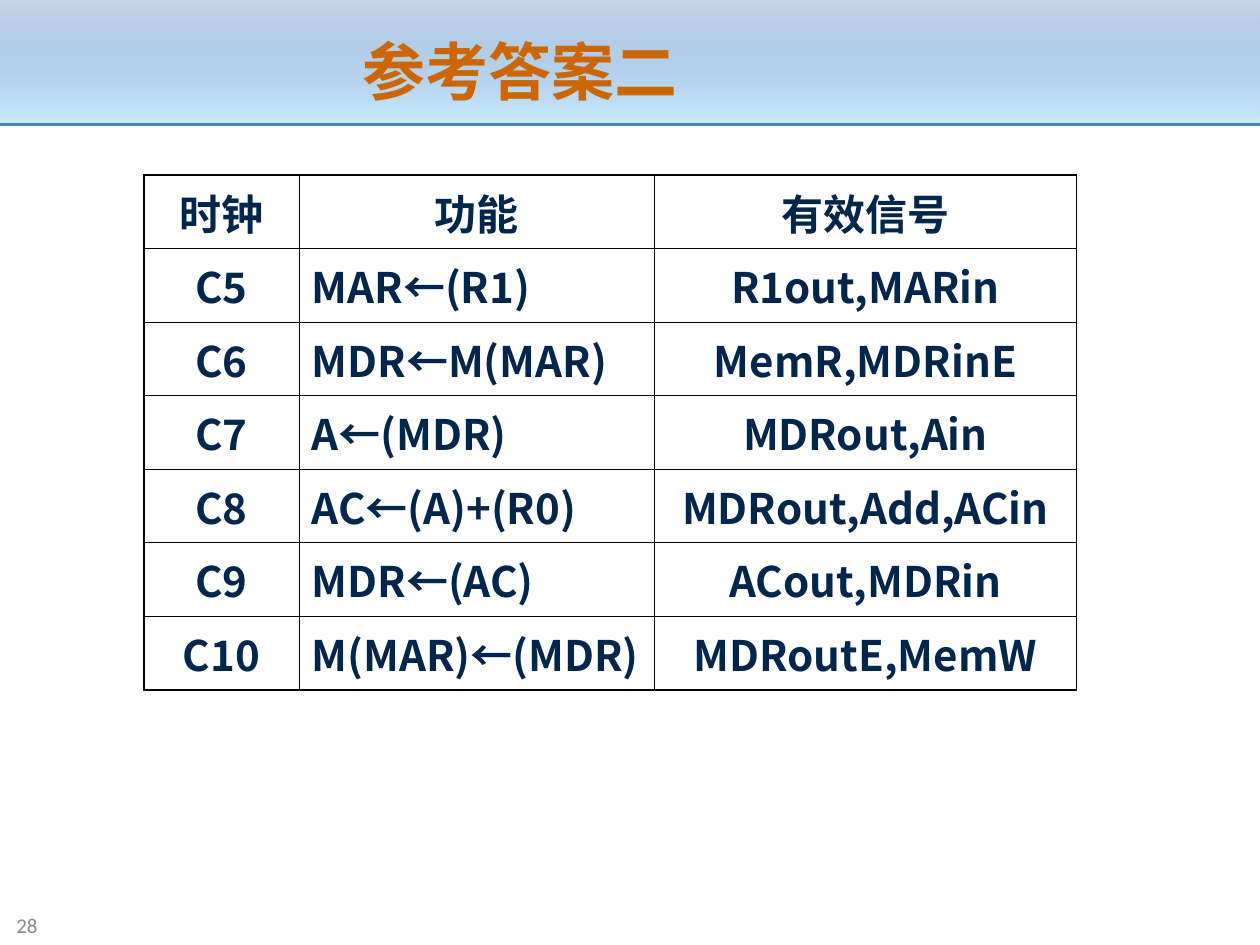
from lxml import etree
from pptx import Presentation
from pptx.dml.color import RGBColor
from pptx.enum import shapes, text
from pptx.oxml import ns
from pptx.util import Pt

TITLE = "参考答案二"
PAGE_NUMBER = "28"
ROWS = [
    ("时钟", "功能", "有效信号"),
    ("C5", "MAR←(R1)", "R1out,MARin"),
    ("C6", "MDR←M(MAR)", "MemR,MDRinE"),
    ("C7", "A←(MDR)", "MDRout,Ain"),
    ("C8", "AC←(A)+(R0)", "MDRout,Add,ACin"),
    ("C9", "MDR←(AC)", "ACout,MDRin"),
    ("C10", "M(MAR)←(MDR)", "MDRoutE,MemW"),
]

PAGE_WIDTH, PAGE_HEIGHT = 720, 540
BAND_HEIGHT = 71.3
TABLE_LEFT, TABLE_TOP = 82.3, 100
COLUMN_WIDTHS = [88.6, 203, 241.2]
ROW_HEIGHT = 37
OUTER_LINE, INNER_LINE = 1.08, 0.45

BLUE = RGBColor(0x4F, 0x81, 0xBD)
SKY = RGBColor(0xCC, 0xEC, 0xFF)
ORANGE = RGBColor(0xCC, 0x66, 0x00)
NAVY = RGBColor(0x00, 0x26, 0x4C)
GRAY = RGBColor(0x89, 0x89, 0x89)
BLACK = RGBColor(0, 0, 0)
CJK_FONT = "Noto Sans CJK SC"
LEFT, CENTER = text.PP_ALIGN.LEFT, text.PP_ALIGN.CENTER


def add_child(parent, tag, **attributes):
    return etree.SubElement(parent, ns.qn(tag), **attributes)


def write(frame, words, size, color, font=CJK_FONT, bold=True, align=LEFT):
    para = frame.paragraphs[0]
    para.alignment = align
    span = para.add_run()
    span.text = words
    span.font.size = Pt(size)
    span.font.bold = bold
    span.font.color.rgb = color
    span.font.name = font
    add_child(span.font._element, "a:ea", typeface=font)


def add_band(page):
    band = page.shapes.add_shape(
        shapes.MSO_SHAPE.RECTANGLE, 0, 0, Pt(PAGE_WIDTH), Pt(BAND_HEIGHT))
    band.shadow.inherit = False
    band.line.fill.background()
    band.fill.gradient()
    band.fill.gradient_angle = 270
    for stop, color in zip(band.fill.gradient_stops, (BLUE, SKY)):
        stop.color.rgb = color
    top_color = next(band.element.iter(ns.qn("a:srgbClr")))
    add_child(top_color, "a:alpha", val="32000")

    rule = page.shapes.add_connector(
        shapes.MSO_CONNECTOR.STRAIGHT, 0, Pt(BAND_HEIGHT), Pt(PAGE_WIDTH), Pt(BAND_HEIGHT))
    rule.line.color.rgb = BLUE
    rule.line.width = Pt(1.5)
    add_child(rule.element.spPr, "a:effectLst")


def add_title(page):
    title = page.shapes.title
    title.left, title.top, title.width, title.height = Pt(36.7), Pt(15), Pt(521.3), Pt(50.4)
    title.text_frame.vertical_anchor = text.MSO_ANCHOR.MIDDLE
    write(title.text_frame, TITLE, 36, ORANGE, align=CENTER)
    page.shapes.element.append(title.element)  # in front of the band


def add_page_number(page):
    box = page.shapes.add_textbox(Pt(2.2), Pt(517), Pt(159), Pt(23))
    box.text_frame.word_wrap = True
    box.text_frame.vertical_anchor = text.MSO_ANCHOR.MIDDLE
    write(box.text_frame, PAGE_NUMBER, 12, GRAY, font="Calibri", bold=False)


def set_borders(cell, outer_sides):
    properties = cell._tc.get_or_add_tcPr()
    for position, side in enumerate("LRTB"):
        width = OUTER_LINE if side in outer_sides else INNER_LINE
        line = etree.Element(ns.qn(f"a:ln{side}"), w=str(Pt(width)))
        fill = add_child(line, "a:solidFill")
        add_child(fill, "a:srgbClr", val=str(BLACK))
        properties.insert(position, line)


def add_signal_table(page):
    last_row, last_column = len(ROWS) - 1, len(COLUMN_WIDTHS) - 1
    table = page.shapes.add_table(
        len(ROWS), len(COLUMN_WIDTHS), Pt(TABLE_LEFT), Pt(TABLE_TOP),
        Pt(sum(COLUMN_WIDTHS)), Pt(ROW_HEIGHT * len(ROWS))).table
    table.first_row = table.horz_banding = False
    for column, width in zip(table.columns, COLUMN_WIDTHS):
        column.width = Pt(width)
    for r, row in enumerate(ROWS):
        table.rows[r].height = Pt(ROW_HEIGHT)
        for c, words in enumerate(row):
            cell = table.cell(r, c)
            cell.fill.background()
            align = LEFT if c == 1 and r > 0 else CENTER
            write(cell.text_frame, words, 24, NAVY, align=align)
            edges = {"L": c == 0, "R": c == last_column, "T": r == 0, "B": r == last_row}
            set_borders(cell, [side for side, outer in edges.items() if outer])


def main():
    deck = Presentation()
    deck.slide_width, deck.slide_height = Pt(PAGE_WIDTH), Pt(PAGE_HEIGHT)
    page = deck.slides.add_slide(deck.slide_layouts[5])
    add_band(page)
    add_page_number(page)
    add_title(page)
    add_signal_table(page)
    deck.save("out.pptx")


if __name__ == "__main__":
    main()
